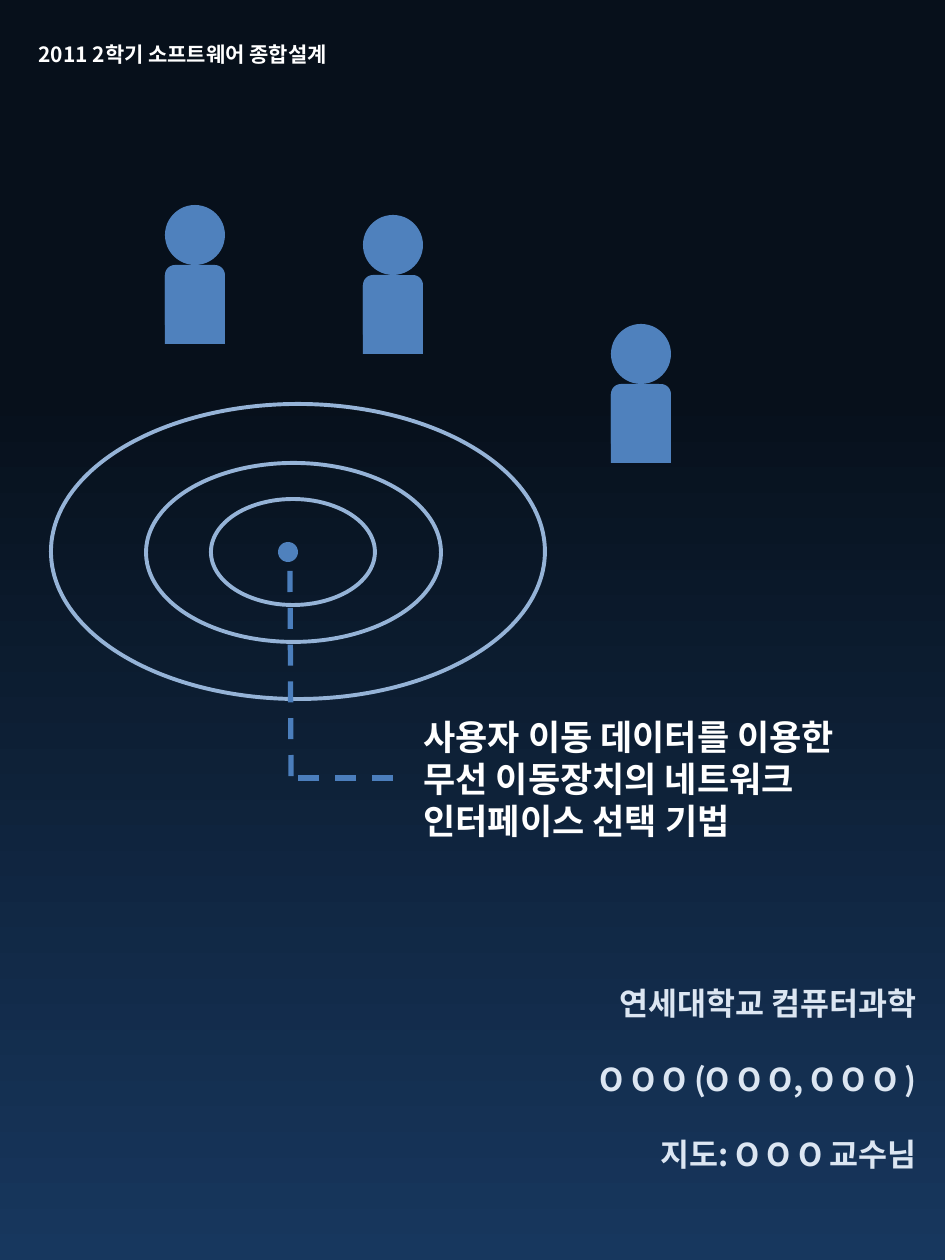
import pptx
import pptx.util
import pptx.dml.color
import pptx.enum.dml
import pptx.enum.shapes
import pptx.enum.text
import pptx.oxml.ns
import lxml.etree

theme = {
    "font": "Noto Sans CJK KR",
    "night": "07101B", "navy": "17375E", "blue": "4F81BD", "ring": "95B3D7",
    "dash": "4B7EBC", "white": "FFFFFF", "pale": "DCE6F2",
    "small": 12, "mid": 18, "big": 20,
}
scale = 914400 / 126
rgb = pptx.dml.color.RGBColor.from_string
kind = pptx.enum.shapes.MSO_SHAPE
align = pptx.enum.text.PP_ALIGN
qn = pptx.oxml.ns.qn


def shape(home, form, box, fill=None, line=None):
    item = home.shapes.add_shape(form, *[round(n * scale) for n in box])
    item.shadow.inherit = False
    if fill:
        item.fill.solid()
        item.fill.fore_color.rgb = rgb(theme[fill])
    else:
        item.fill.background()
    if line:
        item.line.color.rgb = rgb(theme[line])
        item.line.width = pptx.util.Pt(2.25)
    else:
        item.line.fill.background()
    return item


def label(box, lines, size, color, side, gap, wrap):
    item = slide.shapes.add_textbox(*[round(n * scale) for n in box])
    frame = item.text_frame
    frame.word_wrap = wrap
    frame.text = "\n".join(lines)
    for i, para in enumerate(frame.paragraphs):
        para.alignment = side
        if i and gap:
            para.space_before = pptx.util.Pt(gap)
        for run in para.runs:
            run.font.size = pptx.util.Pt(theme[size])
            run.font.bold = True
            run.font.color.rgb = rgb(theme[color])
            run.font.name = theme["font"]
            east = lxml.etree.SubElement(run.font._element, qn("a:ea"))
            east.set("typeface", theme["font"])


deck = pptx.Presentation()
deck.slide_width = round(945 * scale)
deck.slide_height = round(1260 * scale)
slide = deck.slides.add_slide(deck.slide_layouts[6])

sky = shape(slide, kind.RECTANGLE, (0, 0, 945, 1260))
sky.fill.gradient()
sky.fill.gradient_angle = 270
for stop, (place, color) in zip(sky.fill.gradient_stops, [(0.31, "night"), (1, "navy")]):
    stop.position = place
    stop.color.rgb = rgb(theme[color])

label((26, 35, 343, 38), ["2011 2학기 소프트웨어 종합설계"], "small", "white", align.LEFT, 0, False)

for ring in [(211, 499, 164, 106), (146, 463, 295, 179), (51, 404, 494, 295)]:
    shape(slide, kind.OVAL, ring, line="ring")
shape(slide, kind.OVAL, (278, 542, 20, 20), "blue")

for ends in [(290, 571, 291, 777), (393, 778, 294, 778)]:
    link = slide.shapes.add_connector(
        pptx.enum.shapes.MSO_CONNECTOR.STRAIGHT, *[round(n * scale) for n in ends])
    link.line.color.rgb = rgb(theme["dash"])
    link.line.width = pptx.util.Pt(3)
    link.line.dash_style = pptx.enum.dml.MSO_LINE.DASH
    lxml.etree.SubElement(link._element.spPr, qn("a:effectLst"))

for left, top in [(165, 205), (363, 215), (611, 324)]:
    man = slide.shapes.add_group_shape()
    for form, drop, tall in [(kind.OVAL, 0, 60), (kind.ROUNDED_RECTANGLE, 60, 69), (kind.RECTANGLE, 70, 69)]:
        shape(man, form, (left, top + drop, 60, tall), "blue")

title = ["사용자 이동 데이터를 이용한", "무선 이동장치의 네트워크", "인터페이스 선택 기법"]
label((411, 709, 520, 140), title, "big", "white", align.LEFT, 0, True)

team = ["연세대학교 컴퓨터과학", "O O O (O O O, O O O )", "지도: O O O 교수님"]
label((473, 978, 456, 202), team, "mid", "pale", align.RIGHT, 21.6, True)

deck.save("out.pptx")
